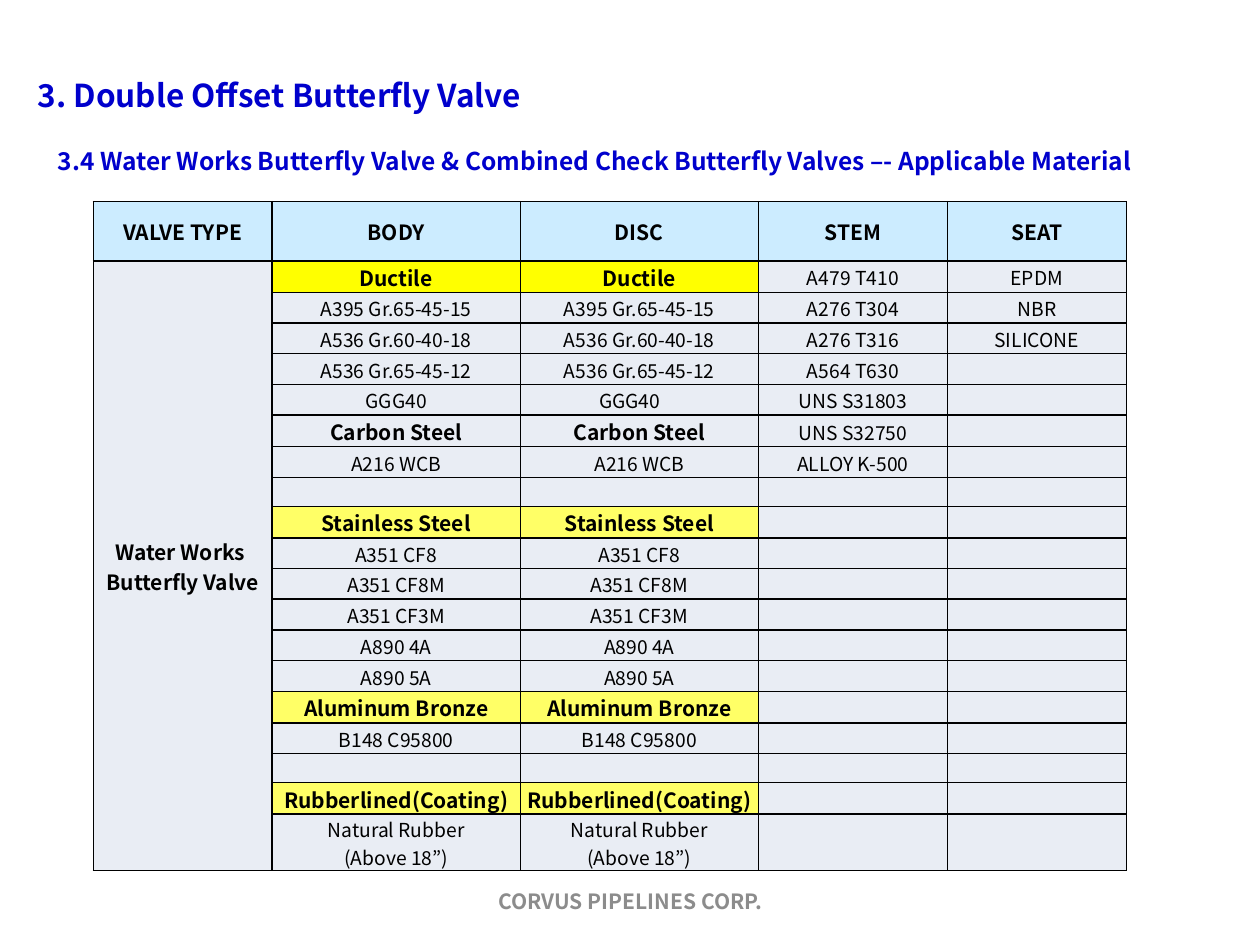
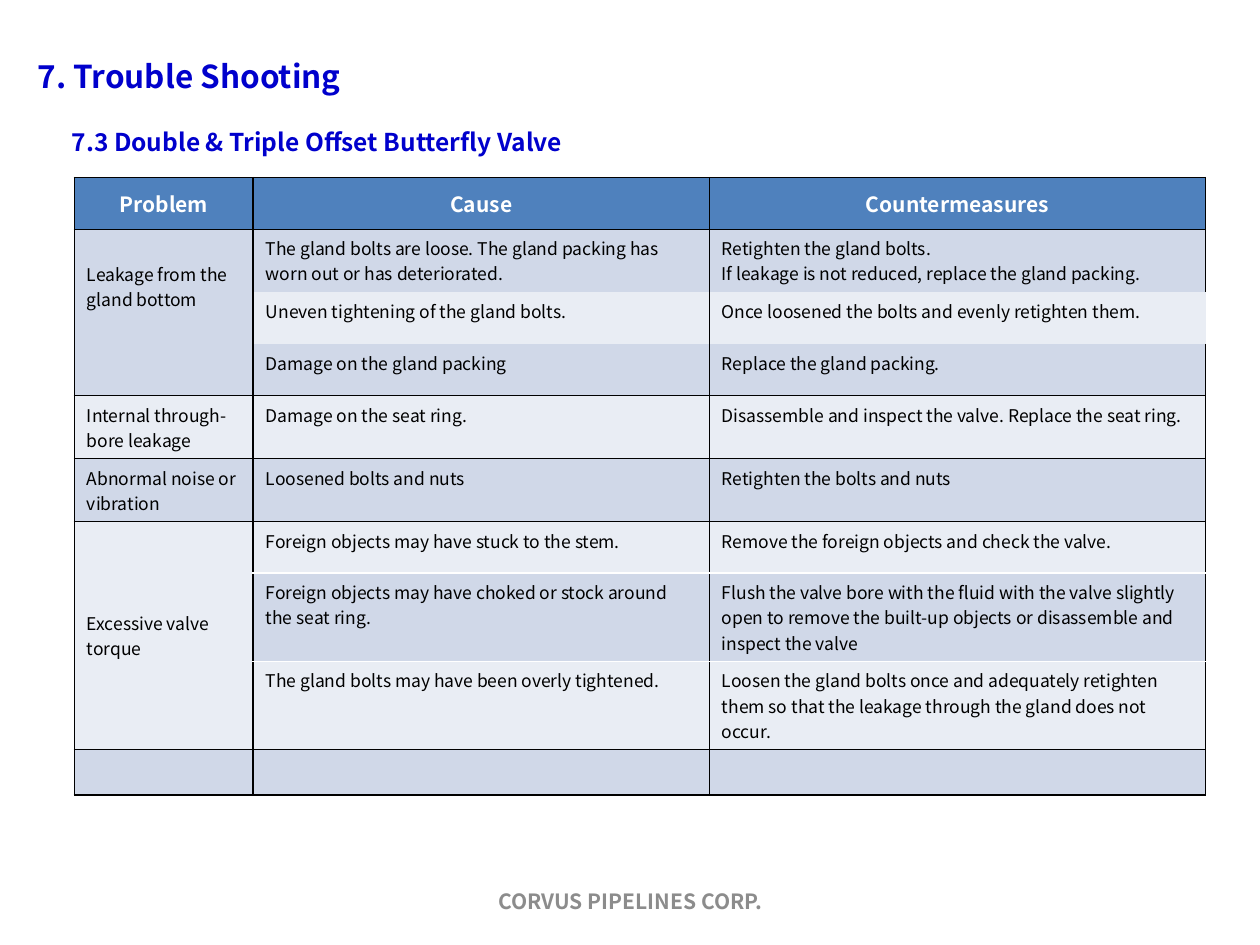
from itertools import zip_longest

from lxml import etree
from pptx import Presentation
from pptx.dml.color import RGBColor
from pptx.enum.text import MSO_ANCHOR as Anchor, PP_ALIGN as Align
from pptx.oxml.ns import qn
from pptx.util import Inches, Pt

FONT = "Noto Sans CJK KR"
BLUE, GREY, BLACK, WHITE = "0000CC", "8C8C8C", "000000", "FFFFFF"
SKY, STEEL, PALE, SHADE = "CCECFF", "4F81BD", "E9EDF4", "D0D8E8"

VALVE_HEADER = ["VALVE TYPE", "BODY", "DISC", "STEM", "SEAT"]
VALVE_TYPE = "Water Works \nButterfly Valve"
GROUP_FILLS = {
    "Ductile": "FFFF00",
    "Carbon Steel": PALE,
    "Stainless Steel": "FFFF66",
    "Aluminum Bronze": "FFFF66",
    "Rubberlined(Coating)": "FFFF66",
}
BODIES = [
    "Ductile", "A395 Gr.65-45-15", "A536 Gr.60-40-18", "A536 Gr.65-45-12", "GGG40",
    "Carbon Steel", "A216 WCB", "",
    "Stainless Steel", "A351 CF8", "A351 CF8M", "A351 CF3M", "A890 4A", "A890 5A",
    "Aluminum Bronze", "B148 C95800", "",
    "Rubberlined(Coating)", "Natural Rubber\n(Above 18”)",
]
DISCS = ["GGG40　" if body == "GGG40" else body for body in BODIES]
STEMS = ["A479 T410", "A276 T304", "A276 T316", "A564 T630",
         "UNS S31803", "UNS S32750", "ALLOY K-500"]
SEATS = ["EPDM", "NBR", "SILICONE"]

TROUBLES = [
    ("Problem", "Cause", "Countermeasures"),
    ("Leakage from the\ngland bottom",
     "The gland bolts are loose. The gland packing has worn out or has deteriorated.",
     "Retighten the gland bolts.\nIf leakage is not reduced, replace the gland packing."),
    ("", "Uneven tightening of the gland bolts.",
     "Once loosened the bolts and evenly retighten them."),
    ("", "Damage on the gland packing", "Replace the gland packing."),
    ("Internal through-bore leakage", "Damage on the seat ring.",
     "Disassemble and inspect the valve. Replace the seat ring."),
    ("Abnormal noise or vibration", "Loosened bolts and nuts",
     "Retighten the bolts and nuts"),
    ("Excessive valve torque", "Foreign objects may have stuck to the stem.",
     "Remove the foreign objects and check the valve."),
    ("", "Foreign objects may have choked or stock around the seat ring.",
     "Flush the valve bore with the fluid with the valve slightly open to remove "
     "the built-up objects or disassemble and inspect the valve"),
    ("", "The gland bolts may have been overly tightened.",
     "Loosen the gland bolts once and adequately retighten them so that the leakage "
     "through the gland does not occur."),
    ("", "", ""),
]
TROUBLE_HEIGHTS = [0.41, 0.5, 0.41, 0.41, 0.5, 0.5, 0.41, 0.7, 0.7, 0.36]
ROW_LINES = [BLACK, BLACK, None, None, BLACK, BLACK, BLACK, WHITE, WHITE, BLACK, BLACK]
PROBLEM_LINES = [None if line == WHITE else line for line in ROW_LINES]


def rgb(color):
    return RGBColor.from_string(color)


def write(frame, text, size, color, bold=False, align=Align.LEFT):
    frame.text = text
    for para in frame.paragraphs:
        para.alignment = align
        for span in para.runs:
            span.font.name = FONT
            span.font.size = Pt(size)
            span.font.bold = bold
            span.font.color.rgb = rgb(color)
        if not para.runs:
            etree.SubElement(para._p, qn("a:endParaRPr"), sz=str(size * 100))


def place(shape, box):
    shape.left, shape.top, shape.width, shape.height = map(Inches, box)


def add_label(page, box, text, size, color, align=Align.LEFT):
    frame = page.shapes.add_textbox(*map(Inches, box)).text_frame
    frame.word_wrap = True
    frame.vertical_anchor = Anchor.MIDDLE
    write(frame, text, size, color, True, align)


def add_page(deck, title, title_top, subtitle, subtitle_box):
    page = deck.slides.add_slide(deck.slide_layouts[5])
    heading = page.shapes.title
    place(heading, (0.2, title_top, 7.24, 0.63))
    heading.text_frame.vertical_anchor = Anchor.MIDDLE
    write(heading.text_frame, title, 18, BLUE, True)
    add_label(page, subtitle_box, subtitle, 14, BLUE)
    add_label(page, (3.42, 6.95, 3.17, 0.4), "CORVUS PIPELINES CORP.", 12, GREY, Align.CENTER)
    return page


def add_grid(page, left, top, widths, heights):
    table = page.shapes.add_table(
        len(heights), len(widths), Inches(left), Inches(top),
        Inches(sum(widths)), Inches(sum(heights))).table
    table.first_row = table.horz_banding = False
    for column, width in zip(table.columns, widths):
        column.width = Inches(width)
    for row, height in zip(table.rows, heights):
        row.height = Inches(height)
    return table


def set_borders(cell, left=BLACK, right=BLACK, top=BLACK, bottom=BLACK):
    properties = cell._tc.get_or_add_tcPr()
    for side, color in zip("LRTB", (left, right, top, bottom)):
        line = etree.SubElement(properties, qn(f"a:ln{side}"), w=str(Pt(1)))
        if color:
            fill = etree.SubElement(line, qn("a:solidFill"))
            etree.SubElement(fill, qn("a:srgbClr"), val=color)
        else:
            etree.SubElement(line, qn("a:noFill"))


def set_fill(cell, color):
    cell.fill.solid()
    cell.fill.fore_color.rgb = rgb(color)


def material_height(body):
    if body in GROUP_FILLS:
        return 0.25
    if not body:
        return 0.23
    return 0.45 if "\n" in body else 3.9 / 16


def add_material_table(page, left, top):
    heights = [0.47, *map(material_height, BODIES)]
    table = add_grid(page, left, top, [1.42, 1.97, 1.89, 1.5, 1.42], heights)
    table.cell(1, 0).merge(table.cell(len(BODIES), 0))
    rows = [VALVE_HEADER, *zip_longest([VALVE_TYPE], BODIES, DISCS, STEMS, SEATS, fillvalue="")]
    for r, texts in enumerate(rows):
        for c, text in enumerate(texts):
            cell = table.cell(r, c)
            bold = r == 0 or c == 0 or text in GROUP_FILLS
            cell.margin_left = cell.margin_right = cell.margin_top = Inches(0.01)
            cell.margin_bottom = 0
            cell.vertical_anchor = Anchor.MIDDLE
            write(cell.text_frame, text, 12 if bold and text else 11, BLACK, bold, Align.CENTER)
            set_borders(cell)
            set_fill(cell, SKY if r == 0 else GROUP_FILLS.get(text, PALE))


def add_trouble_table(page, left, top):
    table = add_grid(page, left, top, [1.42, 3.62, 3.94], TROUBLE_HEIGHTS)
    spans = {1: 2, 6: 3}
    for first, count in spans.items():
        table.cell(first, 0).merge(table.cell(first + count - 1, 0))
    for r, texts in enumerate(TROUBLES):
        for c, text in enumerate(texts):
            cell = table.cell(r, c)
            header = r == 0
            if header or c == 0:
                cell.vertical_anchor = Anchor.MIDDLE
            write(cell.text_frame, text, 12 if header else 10, WHITE if header else BLACK,
                  header, Align.CENTER if header else Align.LEFT)
            lines = ROW_LINES if c else PROBLEM_LINES
            end = r + (spans.get(r, 1) if c == 0 else 1)
            set_borders(cell, right=None if (r, c) == (2, 2) else BLACK,
                        top=lines[r], bottom=lines[end])
            set_fill(cell, STEEL if header else SHADE if r % 2 else PALE)


def main():
    deck = Presentation()
    deck.slide_width, deck.slide_height = Inches(10), Inches(7.5)
    materials = add_page(
        deck, "3. Double Offset Butterfly Valve", 0.44,
        "3.4 Water Works Butterfly Valve & Combined Check Butterfly Valves –- Applicable Material",
        (0.36, 0.96, 9.45, 0.63))
    add_material_table(materials, 0.74, 1.6)
    troubles = add_page(
        deck, "7. Trouble Shooting", 0.29,
        "7.3 Double & Triple Offset Butterfly Valve", (0.47, 0.81, 4.77, 0.63))
    add_trouble_table(troubles, 0.59, 1.41)
    deck.save("out.pptx")


if __name__ == "__main__":
    main()
